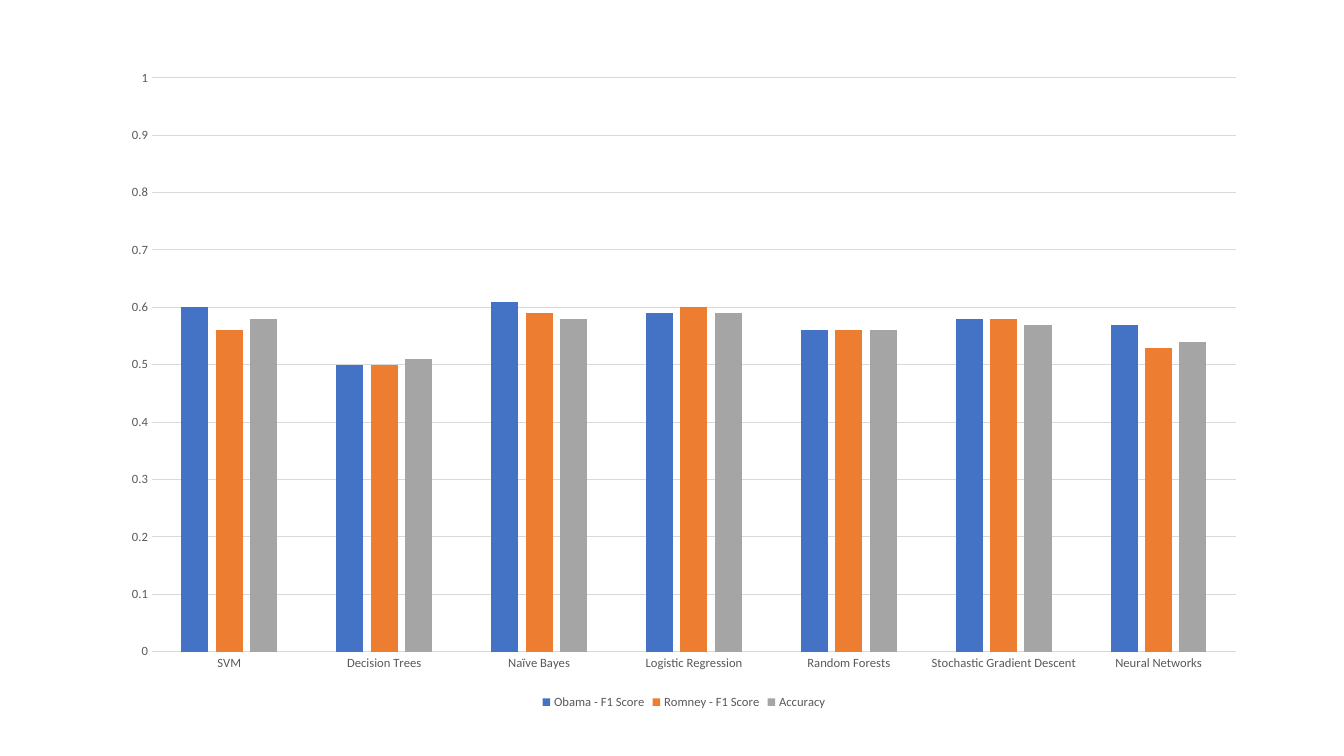
from pptx import Presentation
from pptx.chart.data import CategoryChartData
from pptx.dml.color import RGBColor
from pptx.enum.chart import XL_CHART_TYPE, XL_LEGEND_POSITION, XL_TICK_MARK
from pptx.util import Pt

BLUE = RGBColor(0x44, 0x72, 0xC4)
ORANGE = RGBColor(0xED, 0x7D, 0x31)
GREY = RGBColor(0xA5, 0xA5, 0xA5)
TEXT = RGBColor(0x59, 0x59, 0x59)
RULE = RGBColor(0xD9, 0xD9, 0xD9)

CLASSIFIERS = ["SVM", "Decision Trees", "Naïve Bayes", "Logistic Regression",
               "Random Forests", "Stochastic Gradient Descent", "Neural Networks"]
SCORES = [
    ("Obama - F1 Score", BLUE, [0.6, 0.5, 0.61, 0.59, 0.56, 0.58, 0.57]),
    ("Romney - F1 Score", ORANGE, [0.56, 0.5, 0.59, 0.6, 0.56, 0.58, 0.53]),
    ("Accuracy", GREY, [0.58, 0.51, 0.58, 0.59, 0.56, 0.57, 0.54]),
]


class SlideBuilder:
    font_name = "Calibri"
    font_size = Pt(9)
    rule_width = Pt(0.75)

    def __init__(self, slide):
        self.s = slide

    def style_font(self, font):
        font.name = self.font_name
        font.size = self.font_size
        font.color.rgb = TEXT

    def style_rule(self, line):
        line.color.rgb = RULE
        line.width = self.rule_width

    def column_chart(self, left, top, width, height, categories, series):
        """Add a clustered column chart from (name, colour, values) series."""
        data = CategoryChartData()
        data.categories = categories
        for name, _, values in series:
            data.add_series(name, values)
        chart = self.s.shapes.add_chart(
            XL_CHART_TYPE.COLUMN_CLUSTERED,
            Pt(left), Pt(top), Pt(width), Pt(height), data).chart
        chart.has_title = False
        self.style_font(chart.font)

        plot = chart.plots[0]
        plot.gap_width = 219
        plot.overlap = -27
        plot.vary_by_categories = False
        for bars, (_, color, _) in zip(plot.series, series):
            bars.format.fill.solid()
            bars.format.fill.fore_color.rgb = color

        for axis in (chart.category_axis, chart.value_axis):
            axis.major_tick_mark = XL_TICK_MARK.NONE
            axis.minor_tick_mark = XL_TICK_MARK.NONE
            self.style_font(axis.tick_labels.font)
        self.style_rule(chart.category_axis.format.line)

        scale = chart.value_axis
        scale.minimum_scale = 0
        scale.maximum_scale = 1
        scale.major_unit = 0.1
        scale.format.line.fill.background()
        scale.has_major_gridlines = True
        self.style_rule(scale.major_gridlines.format.line)

        chart.has_legend = True
        chart.legend.position = XL_LEGEND_POSITION.BOTTOM
        chart.legend.include_in_layout = False
        self.style_font(chart.legend.font)


def main():
    prs = Presentation()
    prs.slide_width = Pt(960)
    prs.slide_height = Pt(540)
    builder = SlideBuilder(prs.slides.add_slide(prs.slide_layouts[6]))
    builder.column_chart(77.8, 41, 821.5, 468.7, CLASSIFIERS, SCORES)
    prs.save("out.pptx")


if __name__ == "__main__":
    main()
